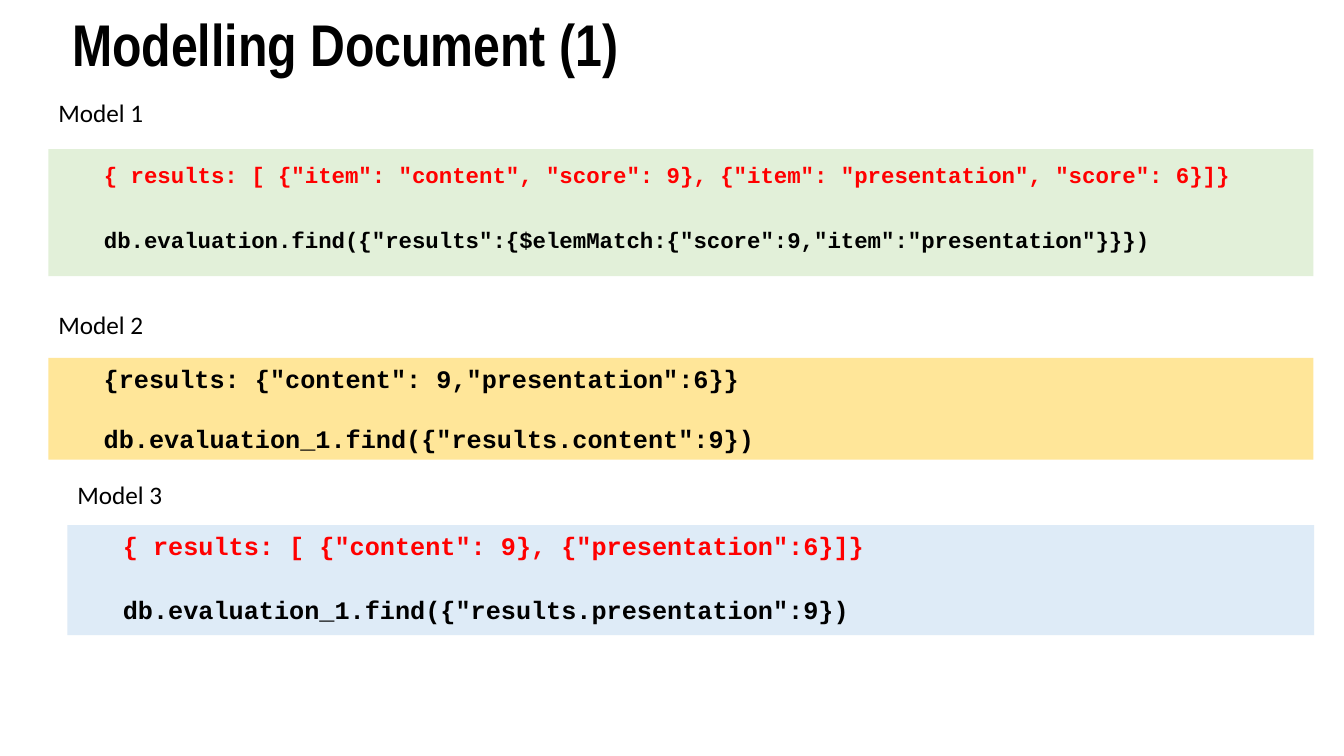
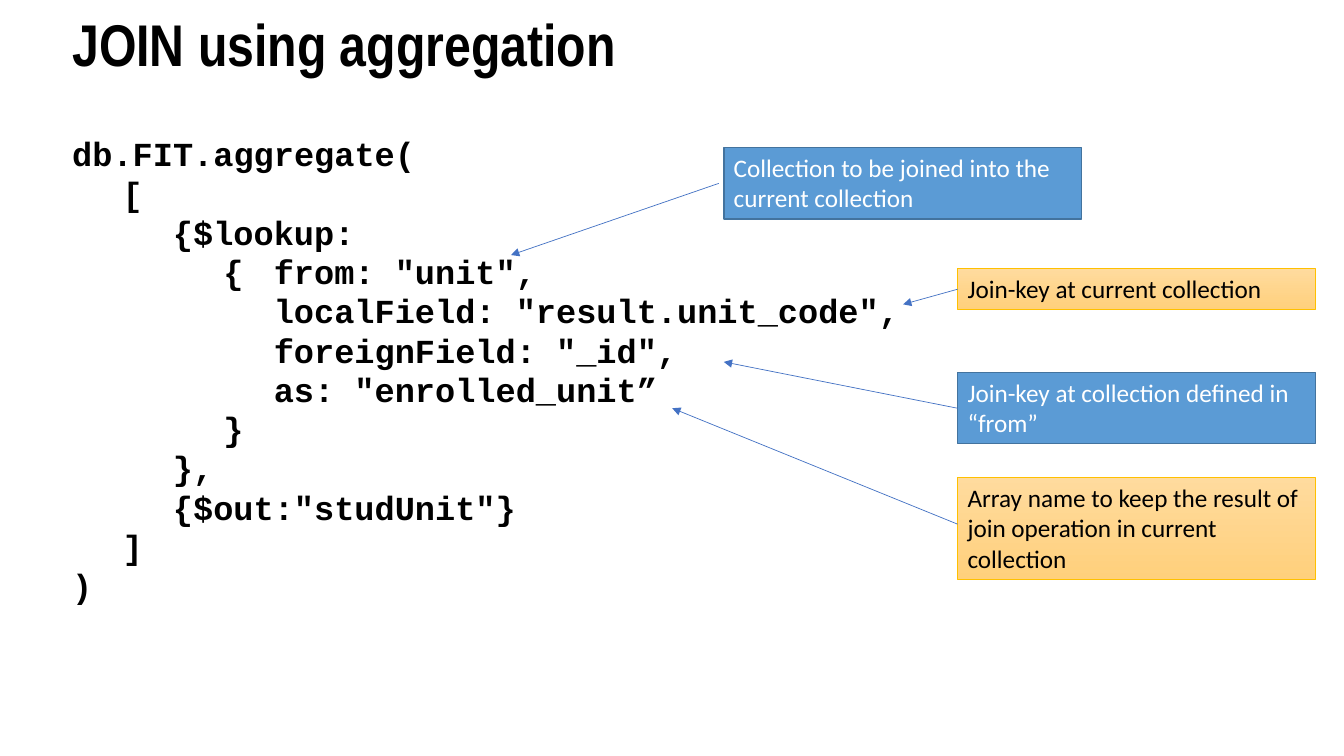
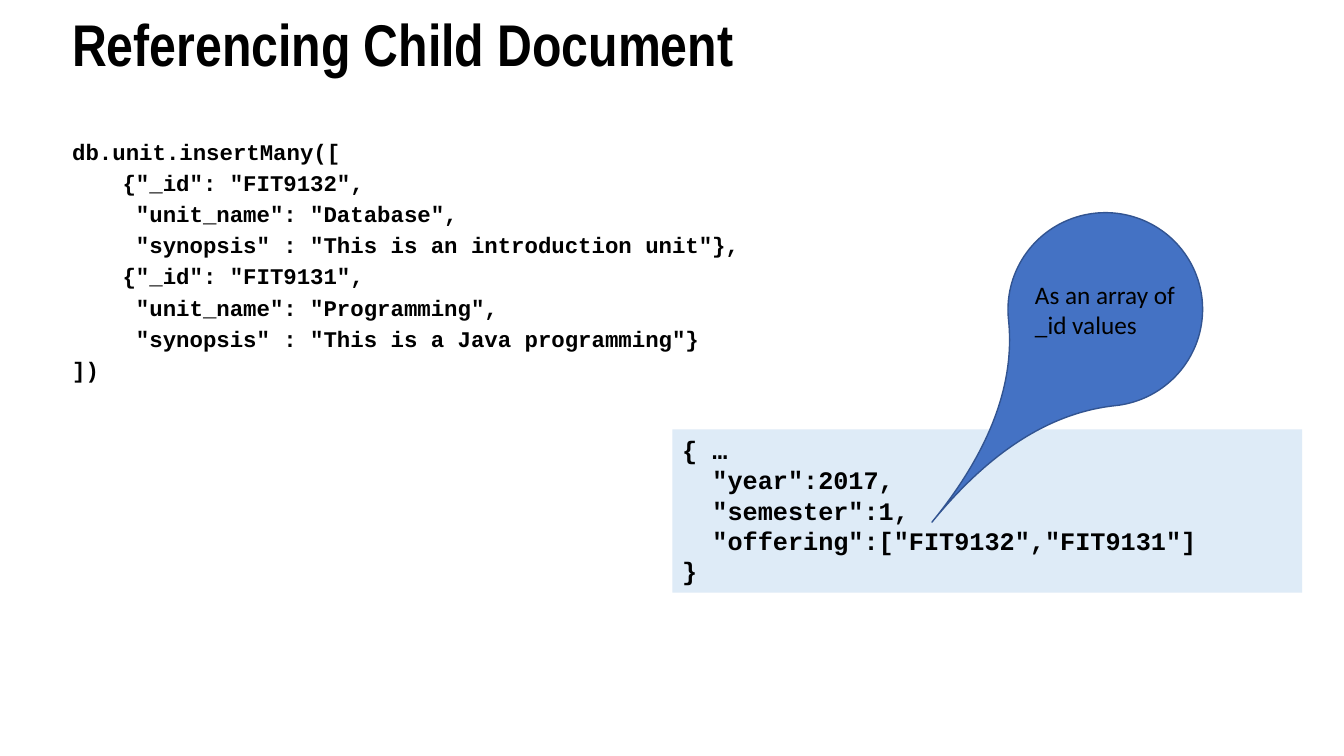
from lxml import etree
from pptx import Presentation
from pptx.dml.color import RGBColor
from pptx.enum import shapes, text
from pptx.oxml import ns
from pptx.util import Pt

COLORS = {
    "black": "000000", "white": "FFFFFF", "red": "FF0000",
    "green": "E2F0D9", "yellow": "FFE699", "pale": "DEEBF7",
    "blue": "5B9BD5", "blue_edge": "43739E",
    "sand_top": "FFDB9E", "sand_bottom": "FFD07C", "sand_edge": "FFC000",
    "accent": "4472C4", "accent_edge": "325491",
}
CODE = dict(font="Courier New", bold=True, inset=(3.6, 3.6), tab=36)
BODY_X, BODY_Y = 48, 97.2


def rgb(name):
    return RGBColor.from_string(COLORS[name])


def sub(parent, tag, **attrs):
    return etree.SubElement(parent, ns.qn(tag), attrs)


def set_tabs(p, step):
    """Four equal tab stops, so that code can be indented by level."""
    tabs = sub(p._p.get_or_add_pPr(), "a:tabLst")
    for n in range(1, 5):
        sub(tabs, "a:tab", pos=str(Pt(step * n)), algn="l")


def add_text(s, content, x, y, w, h, size=18, font="Calibri", color="black",
             bold=False, fill=None, line=None, line_w=1, inset=(7.2, 3.6),
             spacing=None, before=0, gap=None, first_color=None, tab=None):
    """Text box with one paragraph per line; gap replaces before after line one."""
    sp = s.shapes.add_textbox(Pt(x), Pt(y), Pt(w), Pt(h))
    if isinstance(fill, tuple):
        sp.fill.gradient()
        sp.fill.gradient_angle = 270
        for stop, name in zip(sp.fill.gradient_stops, fill):
            stop.color.rgb = rgb(name)
    elif fill:
        sp.fill.solid()
        sp.fill.fore_color.rgb = rgb(fill)
    if line:
        sp.line.color.rgb = rgb(line)
        sp.line.width = Pt(line_w)
    tf = sp.text_frame
    tf.word_wrap = True
    tf.vertical_anchor = text.MSO_ANCHOR.TOP
    tf.margin_left = tf.margin_right = Pt(inset[0])
    tf.margin_top, tf.margin_bottom = Pt(inset[1]), Pt(3.6)
    for i, row in enumerate(content.split("\n")):
        p = tf.paragraphs[0] if i == 0 else tf.add_paragraph()
        p.space_before = Pt(gap if i and gap is not None else before)
        if spacing:
            p.line_spacing = spacing
        if tab:
            set_tabs(p, tab)
        r = p.add_run()
        r.text = row
        r.font.name, r.font.size, r.font.bold = font, Pt(size), bold
        r.font.color.rgb = rgb(first_color if first_color and i == 0 else color)
    return sp


def add_code(s, content, x, y, w, h, **fmt):
    return add_text(s, content, x, y, w, h, **{**CODE, **fmt})


def add_arrow(s, x1, y1, x2, y2):
    c = s.shapes.add_connector(shapes.MSO_CONNECTOR.STRAIGHT,
                               Pt(x1), Pt(y1), Pt(x2), Pt(y2))
    c.line.color.rgb = rgb("accent")
    c.line.width = Pt(0.5)
    sub(c.line._get_or_add_ln(), "a:tailEnd", type="triangle")
    sub(c._element.spPr, "a:effectLst")


def add_callout(s, content, x, y, h, style, arrow):
    look = {
        "blue": dict(fill="blue", line="blue_edge", color="white"),
        "sand": dict(fill=("sand_top", "sand_bottom"), line="sand_edge", line_w=0.5),
    }[style]
    add_text(s, content, x, y, 255.6, h, **look)
    add_arrow(s, *arrow)


def add_drop(s, x, y, w, h):
    sp = s.shapes.add_shape(shapes.MSO_SHAPE.TEAR, Pt(x), Pt(y), Pt(w), Pt(h))
    sp.shadow.inherit = False
    sp.adjustments[0] = 2
    sp.rotation = 174
    sp.fill.solid()
    sp.fill.fore_color.rgb = rgb("accent")
    sp.line.color.rgb = rgb("accent_edge")
    sp.line.width = Pt(1)


def new_slide(prs, title):
    s = prs.slides.add_slide(prs.slide_layouts[6])
    add_text(s, title, BODY_X, 8, 864, 40, size=42, font="Arial Narrow",
             bold=True, inset=(3.6, 3.6), spacing=0.9)
    return s


def build_models(prs):
    s = new_slide(prs, "Modelling Document (1)")
    # Model captions
    for n, x, y in ((1, 34.6, 66.2), (2, 34.6, 217.4), (3, 48.2, 339.1)):
        add_text(s, f"Model {n}", x, y, 100, 29)
    # Code panels
    add_code(s, '\t{ results: [ {"item": "content", "score": 9}, '
             '{"item": "presentation", "score": 6}]}\n'
             '\tdb.evaluation.find({"results":{$elemMatch:'
             '{"score":9,"item":"presentation"}}})',
             34.6, 106.6, 903.6, 90.7, size=16, fill="green", spacing=0.9,
             before=5, gap=29, first_color="red", inset=(3.6, 10.6))
    add_code(s, '\t{results: {"content": 9,"presentation":6}}\n'
             '\tdb.evaluation_1.find({"results.content":9})',
             34.6, 255.6, 903.6, 72.7, fill="yellow", gap=21.3,
             inset=(7.2, 3.6), tab=32.4)
    add_code(s, '\t{ results: [ {"content": 9}, {"presentation":6}]}\n'
             '\tdb.evaluation_1.find({"results.presentation":9})',
             48.2, 375.1, 890.6, 78.5, fill="pale", spacing=0.8,
             before=5, gap=28.5, first_color="red", inset=(3.6, 8))


def build_join(prs):
    s = new_slide(prs, "JOIN using aggregation")
    add_code(s, 'db.FIT.aggregate(\n\t[\n\t\t{$lookup:\n'
             '\t\t\t{\tfrom: "unit",\n'
             '\t\t\t\tlocalField: "result.unit_code",\n'
             '\t\t\t\tforeignField: "_id",\n'
             '\t\t\t\tas: "enrolled_unit”\n'
             '\t\t\t}\n\t\t},\n\t\t{$out:"studUnit"}\n\t]\n)',
             BODY_X, BODY_Y, 873.4, 356.4, size=24, spacing=0.8, before=5)
    # Callouts, each with the arrow to its line of code
    for callout in (
        ("Collection to be joined into the current collection",
         517, 105.4, 51, "blue", (513.4, 131, 365, 182.2)),
        ("Join-key at current collection",
         684, 192, 29, "sand", (684, 206.6, 645.1, 217.4)),
        ("Join-key at collection defined in “from”",
         684, 266, 51, "blue", (684, 291.6, 517, 258.5)),
        ("Array name to keep the result of join operation in current collection",
         684, 341, 72.7, "sand", (684, 374.4, 480.2, 291.6)),
    ):
        add_callout(s, *callout)


def build_reference(prs):
    s = new_slide(prs, "Referencing Child Document")
    add_code(s, 'db.unit.insertMany([\n'
             '\t{"_id": "FIT9132",\n'
             '\t "unit_name": "Database",\n'
             '\t "synopsis" : "This is an introduction unit"},\n'
             '\t{"_id": "FIT9131",\n'
             '\t "unit_name": "Programming",\n'
             '\t "synopsis" : "This is a Java programming"}\n])',
             BODY_X, BODY_Y, 493.2, 356.4, size=16, spacing=0.9, before=5)
    add_code(s, '{ …\n\t"year":2017,\n\t"semester":1,\n'
             '\t"offering":["FIT9132","FIT9131"]\n}',
             480.2, 306.7, 450, 116.6, fill="pale", inset=(7.2, 3.6), tab=21.6)
    # Speech drop pointing at the array
    add_drop(s, 720, 151.9, 139, 138.2)
    add_text(s, "As an array of _id values", 732.2, 195.8, 133.2, 51)


def main():
    prs = Presentation()
    prs.slide_width, prs.slide_height = Pt(960), Pt(540)
    build_models(prs)
    build_join(prs)
    build_reference(prs)
    prs.save("out.pptx")


if __name__ == "__main__":
    main()
